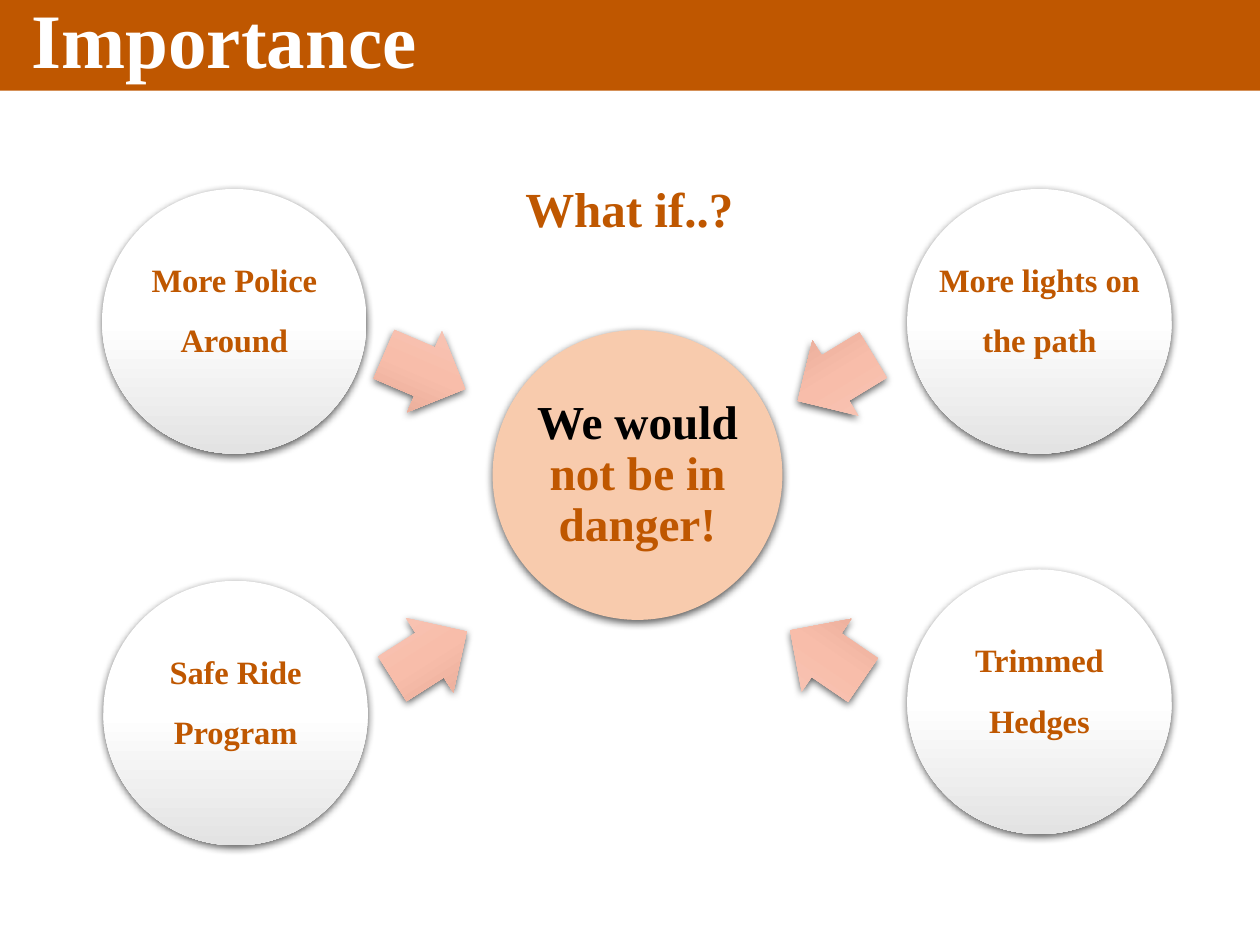
"""Build the Importance slide: four measures pointing at one outcome."""
from dataclasses import dataclass

from lxml.etree import SubElement
from pptx import Presentation
from pptx.dml.color import RGBColor
from pptx.enum.shapes import MSO_SHAPE as SHAPE
from pptx.enum.text import MSO_ANCHOR as ANCHOR, MSO_AUTO_SIZE as AUTO, PP_ALIGN as ALIGN
from pptx.oxml.ns import qn
from pptx.util import Inches, Pt

COLORS = {"orange": "BF5700", "white": "FFFFFF", "black": "000000", "peach": "F8CBAD"}
CIRCLE_GRADIENT = ("FFFFFF", "FFFFFF", "E3E3E3")
ARROW_GRADIENT = ("F7C8BA", "F8BDAA", "E1A592")
FONT = "Times New Roman"
CIRCLE, HUB, ARROW = 2.1, 2.3, 0.7


@dataclass
class Measure:
    text: str
    left: float
    top: float
    arrow_left: float
    arrow_top: float
    rotation: float


MEASURES = [
    Measure("Safe Ride\vProgram", 0.82, 4.61, 3.06, 4.85, 327.5),
    Measure("Trimmed\vHedges", 7.2, 4.52, 6.21, 4.85, 214.3),
    Measure("More Police Around", 0.81, 1.5, 3.02, 2.6, 23.2),
    Measure("More lights on the path", 7.2, 1.5, 6.28, 2.65, 148.7),
]


def rgb(name: str) -> RGBColor:
    return RGBColor.from_string(COLORS[name])


def style_run(r, size: float, color: str) -> None:
    r.font.name, r.font.size, r.font.bold = FONT, Pt(size), True
    r.font.color.rgb = rgb(color)


def add_shape(slide, kind, left: float, top: float, width: float, height: float):
    sp = slide.shapes.add_shape(kind, Inches(left), Inches(top), Inches(width), Inches(height))
    sp.line.fill.background()
    sp.shadow.inherit = False
    return sp


def add_shadow(sp) -> None:
    effects = sp._element.spPr.find(qn("a:effectLst"))
    shadow = SubElement(effects, qn("a:outerShdw"), blurRad=str(Pt(4.5)), dist=str(Pt(1.5)),
                        dir="5400000", algn="ctr", rotWithShape="0")
    color = SubElement(shadow, qn("a:srgbClr"), val=COLORS["black"])
    SubElement(color, qn("a:alpha"), val="63000")


def fill_gradient(sp, colors: tuple[str, ...]) -> None:
    sp.fill.gradient()
    sp.fill.gradient_angle = 270
    stops = sp._element.spPr.find(qn("a:gradFill")).find(qn("a:gsLst"))
    for stop in list(stops):
        stops.remove(stop)
    for i, color in enumerate(colors):
        stop = SubElement(stops, qn("a:gs"), pos=str(i * 50000))
        SubElement(stop, qn("a:srgbClr"), val=color)


def add_circle(slide, left: float, top: float, size: float, inset: float):
    sp = add_shape(slide, SHAPE.OVAL, left, top, size, size)
    add_shadow(sp)
    tf = sp.text_frame
    tf.word_wrap, tf.vertical_anchor = True, ANCHOR.MIDDLE
    tf.margin_left = tf.margin_right = tf.margin_top = tf.margin_bottom = Inches(inset)
    p = tf.paragraphs[0]
    p.alignment, p.line_spacing = ALIGN.CENTER, 0.9
    return sp


def add_measure(slide, m: Measure) -> None:
    circle = add_circle(slide, m.left, m.top, CIRCLE, -0.1)
    fill_gradient(circle, CIRCLE_GRADIENT)
    p = circle.text_frame.paragraphs[0]
    p.text = m.text
    for r in p.runs:
        style_run(r, 32, "orange")
        r.font._element.set("baseline", "30000")
    for br in p._p.findall(qn("a:br")):
        SubElement(br, qn("a:rPr"), sz="3200", b="1", baseline="30000")
    arrow = add_shape(slide, SHAPE.RIGHT_ARROW, m.arrow_left, m.arrow_top, ARROW, ARROW)
    arrow.adjustments[0], arrow.adjustments[1] = 0.6, 0.5
    arrow.rotation = m.rotation
    fill_gradient(arrow, ARROW_GRADIENT)
    add_shadow(arrow)


def add_title(slide) -> None:
    title = slide.shapes.title
    bar = add_shape(slide, SHAPE.RECTANGLE, 0, 0, 10, 0.72)
    bar.fill.solid()
    bar.fill.fore_color.rgb = rgb("orange")
    title._element.addprevious(bar._element)
    title.left, title.top = Inches(0.15), Inches(0.01)
    title.width, title.height = Inches(3.46), Inches(0.72)
    tf = title.text_frame
    tf.text = "Importance"
    tf.auto_size, tf.vertical_anchor = AUTO.NONE, ANCHOR.MIDDLE
    p = tf.paragraphs[0]
    p.alignment, p.line_spacing = ALIGN.LEFT, 0.8
    style_run(p.runs[0], 44, "white")


def add_hub(slide) -> None:
    hub = add_circle(slide, 3.91, 2.62, HUB, -0.12)
    hub.fill.solid()
    hub.fill.fore_color.rgb = rgb("peach")
    p = hub.text_frame.paragraphs[0]
    for text, color in (("We would ", "black"), ("not be in danger!", "orange")):
        r = p.add_run()
        r.text = text
        style_run(r, 27, color)


def add_question(slide) -> None:
    box = slide.shapes.add_textbox(Inches(4.06), Inches(1.37), Inches(1.87), Inches(0.57))
    tf = box.text_frame
    tf.text = "What if..?"
    tf.word_wrap, tf.auto_size = False, AUTO.SHAPE_TO_FIT_TEXT
    p = tf.paragraphs[0]
    p.alignment = ALIGN.CENTER
    style_run(p.runs[0], 28, "orange")


def main() -> None:
    prs = Presentation()
    prs.slide_width, prs.slide_height = Inches(10), Inches(7.5)
    slide = prs.slides.add_slide(prs.slide_layouts[5])
    add_title(slide)
    add_hub(slide)
    for m in MEASURES:
        add_measure(slide, m)
    add_question(slide)
    prs.save("out.pptx")


if __name__ == "__main__":
    main()
